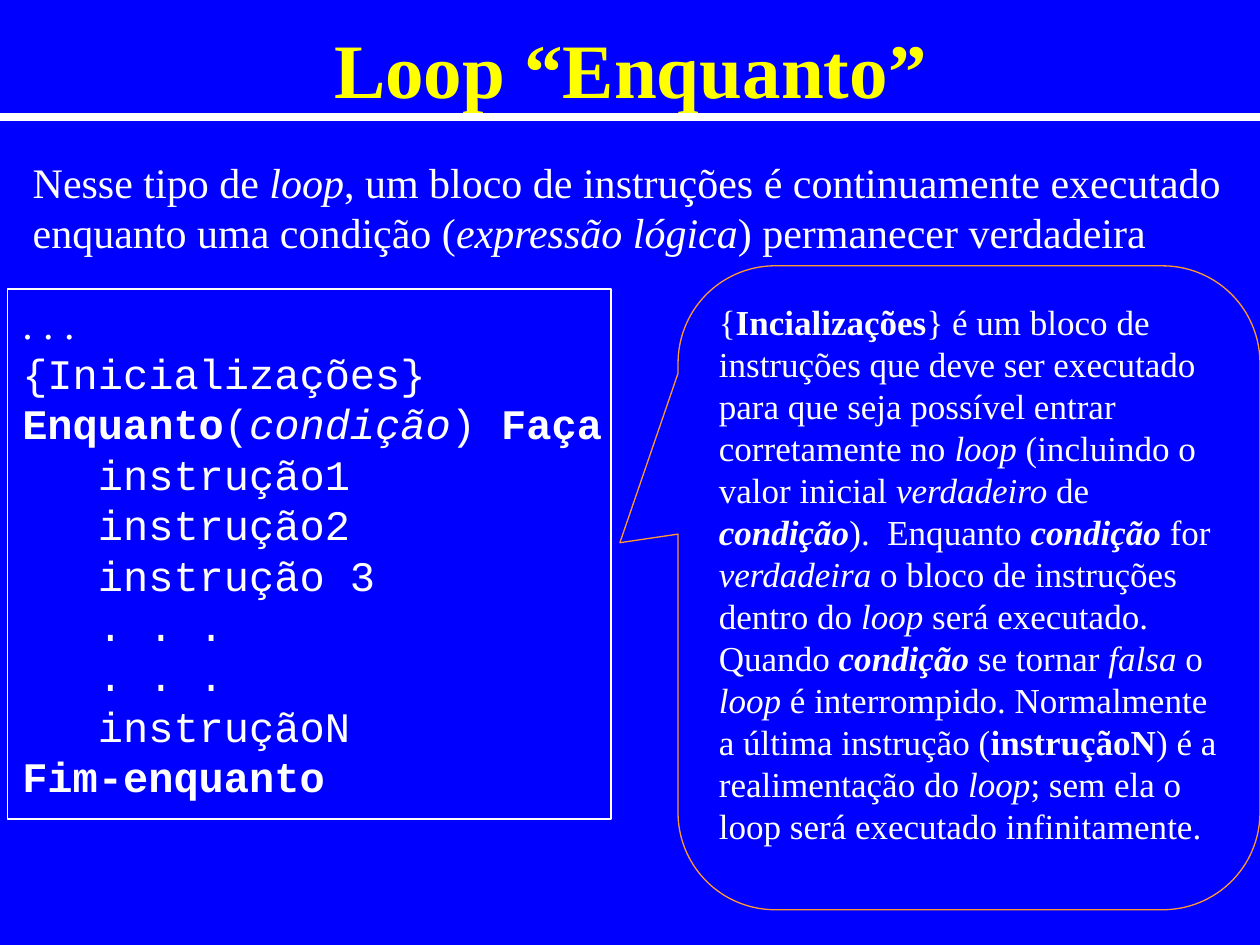
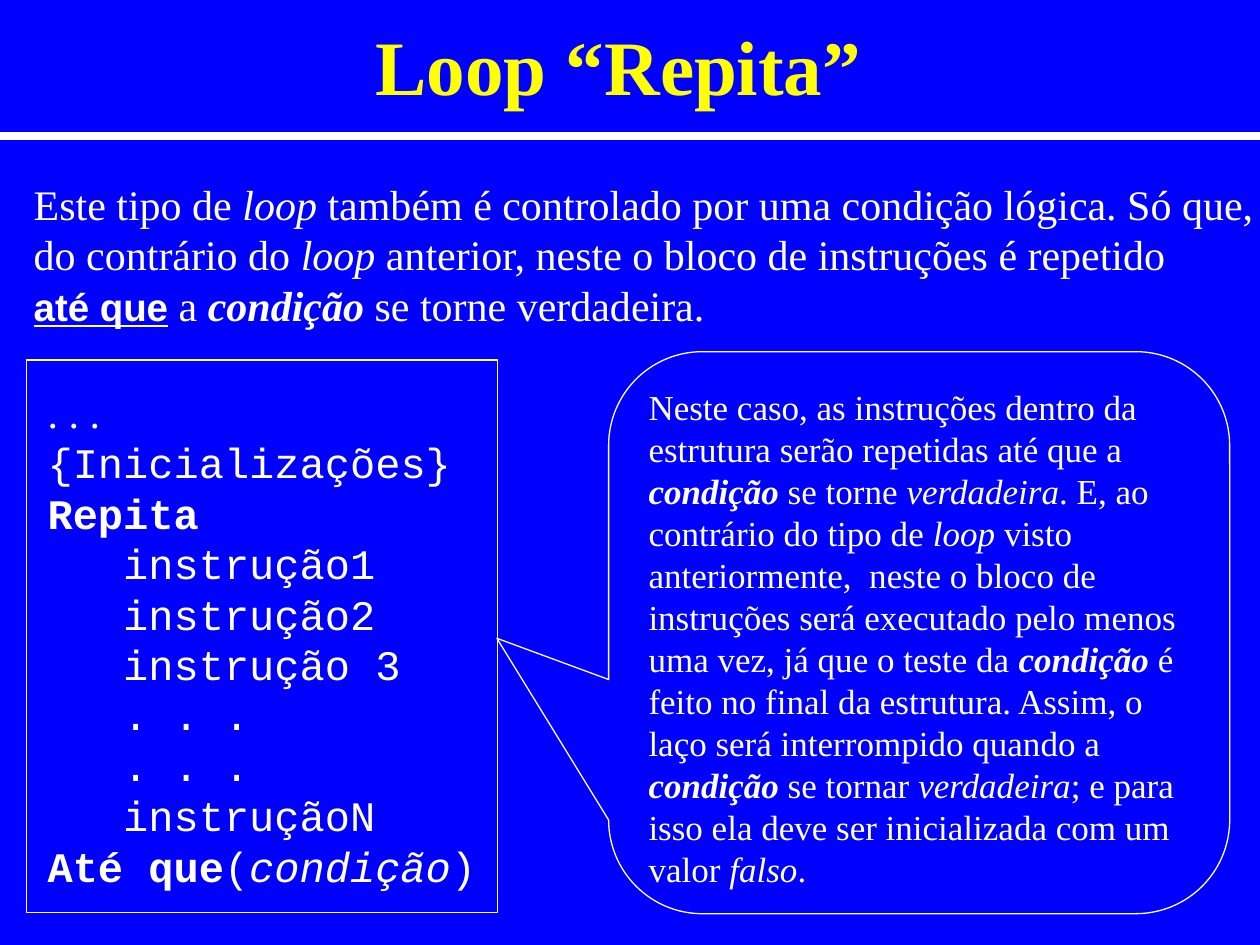
from itertools import groupby

from lxml.etree import SubElement
from pptx import Presentation
from pptx.dml.color import RGBColor as Rgb
from pptx.enum.shapes import MSO_CONNECTOR as Link, MSO_SHAPE as Form
from pptx.enum.text import MSO_ANCHOR as Anchor, MSO_AUTO_SIZE as Fit, PP_ALIGN as Align
from pptx.oxml.ns import qn
from pptx.util import Cm, Pt

HUES = {"back": "0000FF", "title": "FFFF00", "text": "FFFFFF", "accent": "FF9933"}
SERIF, MONO = "Times New Roman", "Courier New"
MARKS = {
    "*": {"bold": True},
    "_": {"italic": True},
    "~": {"bold": True, "underline": True, "name": "Arial", "size": Pt(22)},
}
STEPS = ["   instrução1", "   instrução2", "   instrução 3",
         "   . . .", "   . . .", "   instruçãoN"]


def hue(name):
    return Rgb.from_string(HUES[name])


def style(font, tone="text", **form):
    for key, val in form.items():
        setattr(font, key, val)
    font.color.rgb = hue(tone)


def runs(text):
    """Yield each stretch of text with the marks that are on for it."""
    live, marked = frozenset(), []
    for sign in text:
        if sign in MARKS:
            live ^= {sign}
        else:
            marked.append((live, sign))
    for live, group in groupby(marked, key=lambda pair: pair[0]):
        yield "".join(sign for _, sign in group), live


def write(frame, lines, size, fonts):
    """Fill a frame with marked lines, one font name for each line."""
    for num, (line, name) in enumerate(zip(lines, fonts)):
        para = frame.add_paragraph() if num else frame.paragraphs[0]
        para.alignment = Align.LEFT
        para.line_spacing = Pt(size * 1.2)
        for text, live in runs(line):
            run = para.add_run()
            run.text = text
            form = {"name": name, "size": Pt(size)}
            for mark in live:
                form.update(MARKS[mark])
            style(run.font, **form)


def cms(box):
    return [Cm(side) for side in box]


def head(slide, box, text, rule):
    """Set the title and draw the white rule below it."""
    title = slide.shapes.title
    title.left, title.top, title.width, title.height = cms(box)
    frame = title.text_frame
    frame.auto_size, frame.vertical_anchor = Fit.NONE, Anchor.MIDDLE
    frame.text = text
    para = frame.paragraphs[0]
    para.alignment = Align.CENTER
    style(para.runs[0].font, "title", name=SERIF, size=Pt(44), bold=True)
    line = slide.shapes.add_connector(Link.STRAIGHT, *cms((0, rule, 25.4, rule)))
    line.line.color.rgb, line.line.width = hue("text"), Pt(4.5)
    SubElement(line._element.spPr, qn("a:effectLst"))


def label(slide, box, wrap):
    frame = slide.shapes.add_textbox(*cms(box)).text_frame
    frame.word_wrap, frame.auto_size = wrap, Fit.SHAPE_TO_FIT_TEXT
    frame.margin_top = Cm(0.2)
    return frame


def intro(slide, box, lines):
    write(label(slide, box, False), lines, 24, [SERIF] * len(lines))


def outline(slide, form, box, tone, width):
    shape = slide.shapes.add_shape(form, *cms(box))
    shape.shadow.inherit = False
    shape.fill.background()
    shape.line.color.rgb, shape.line.width = hue(tone), Pt(width)
    return shape


def code(slide, box, inset, wide, lines, width):
    """Draw a framed listing whose text starts at the inset from the box."""
    outline(slide, Form.RECTANGLE, box, "text", width)
    left, top = (side + gap for side, gap in zip(box, inset))
    frame = label(slide, (left, top, wide, 10.41), True)
    lines = [". . .", "{Inicializações}", *lines]
    write(frame, lines, 24, [SERIF] + [MONO] * (len(lines) - 1))


def callout(slide, box, tip, tone, text):
    """Draw a bubble whose tail ends at tip, in shares of the box from its centre."""
    shape = outline(slide, Form.ROUNDED_RECTANGULAR_CALLOUT, box, tone, 0.75)
    for num, val in enumerate((*tip, 0.167)):
        shape.adjustments[num] = val
    frame = shape.text_frame
    frame.word_wrap, frame.vertical_anchor = True, Anchor.TOP
    write(frame, [text], 20, [SERIF])


def while_slide(slide):
    head(slide, (0.56, 0.28, 24.31, 2.16), "Loop “Enquanto”", 2.36)
    intro(slide, (0.41, 2.95, 24.46, 2.29), [
        "Nesse tipo de _loop_, um bloco de instruções é continuamente executado",
        "enquanto uma condição (_expressão lógica_) permanecer verdadeira"])
    code(slide, (0.15, 5.82, 12.17, 10.69), (0.05, -0.03), 12.37,
         ["*Enquanto*(_condição_) *Faça*", *STEPS, "*Fim-enquanto*"], 1)
    callout(slide, (13.67, 5.36, 11.73, 12.98), (-0.6, -0.07), "accent",
            "{*Incializações*} é um bloco de instruções que deve ser executado "
            "para que seja possível entrar corretamente no _loop_ (incluindo o "
            "valor inicial _verdadeiro_ de *_condição_*).  Enquanto *_condição_* "
            "for _verdadeira_ o bloco de instruções dentro do _loop_ será "
            "executado. Quando *_condição_* se tornar _falsa_ o _loop_ é "
            "interrompido. Normalmente a última instrução (*instruçãoN*) é a "
            "realimentação do _loop_; sem ela o loop será executado infinitamente.")


def repeat_slide(slide):
    head(slide, (0.46, 0.38, 24.41, 1.83), "Loop “Repita” ", 2.74)
    intro(slide, (0.43, 3.4, 25.1, 3.3), [
        "Este tipo de _loop_ também é controlado por uma condição lógica. Só que,",
        "do contrário do _loop_ anterior, neste o bloco de instruções é repetido",
        "~até que~ a *_condição_* se torne verdadeira."])
    code(slide, (0.53, 7.26, 9.5, 11.13), (0.18, 0.33), 9.86,
         ["*Repita*", *STEPS, "*Até que*(_condição_)"], 0.75)
    callout(slide, (12.27, 7.09, 12.52, 11.33), (-0.68, 0.01), "text",
            "Neste caso, as instruções dentro da estrutura serão repetidas até "
            "que a *_condição_* se torne _verdadeira_. E, ao contrário do tipo de "
            "_loop _visto anteriormente,  neste o bloco de instruções será "
            "executado pelo menos uma vez, já que o teste da *_condição_* é feito "
            "no final da estrutura. Assim, o laço será interrompido quando a "
            "*_condição_* se tornar _verdadeira_; e para isso ela deve ser "
            "inicializada com um valor _falso_.")


def main():
    deck = Presentation()
    deck.slide_width, deck.slide_height = Cm(25.4), Cm(19.05)
    fill = deck.slide_master.background.fill
    fill.solid()
    fill.fore_color.rgb = hue("back")
    for build in (while_slide, repeat_slide):
        build(deck.slides.add_slide(deck.slide_layouts[5]))
    deck.save("out.pptx")


if __name__ == "__main__":
    main()
